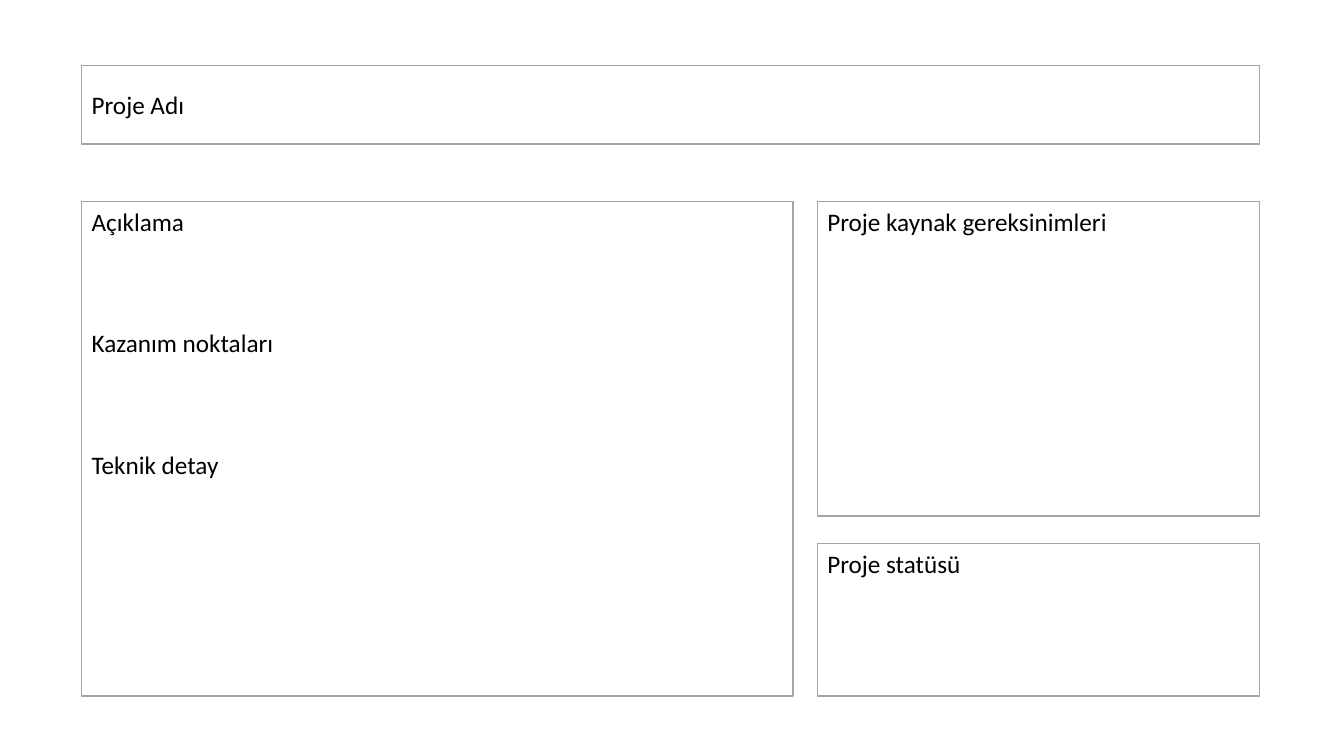
from pptx import Presentation
from pptx.dml.color import RGBColor
from pptx.enum.shapes import MSO_SHAPE
from pptx.enum.text import MSO_ANCHOR, PP_ALIGN
from pptx.util import Cm, Pt

LEFT, RIGHT = 2.06, 31.74
TOP, BOTTOM = 5.08, 17.54
DETAILS_RIGHT, SIDE_LEFT = 19.99, 20.6

PANELS = [
    (["Açıklama", "Kazanım noktaları", "Teknik detay"],
     (LEFT, TOP, DETAILS_RIGHT, BOTTOM), MSO_ANCHOR.TOP),
    (["Proje Adı"], (LEFT, 1.65, RIGHT, 3.63), MSO_ANCHOR.MIDDLE),
    (["Proje kaynak gereksinimleri"], (SIDE_LEFT, TOP, RIGHT, 13), MSO_ANCHOR.TOP),
    (["Proje statüsü"], (SIDE_LEFT, 13.69, RIGHT, BOTTOM), MSO_ANCHOR.TOP),
]
HEADING_GAP = Pt(65)


def color(value):
    return RGBColor.from_string(value)


def add_panel(slide, headings, edges, anchor):
    left, top, right, bottom = edges
    panel = slide.shapes.add_shape(
        MSO_SHAPE.RECTANGLE, Cm(left), Cm(top), Cm(right - left), Cm(bottom - top))
    panel.shadow.inherit = False
    panel.fill.solid()
    panel.fill.fore_color.rgb = color("FFFFFF")
    panel.line.color.rgb = color("A5A5A5")
    panel.line.width = Pt(1)
    content = panel.text_frame
    content.word_wrap = True
    content.vertical_anchor = anchor
    for index, heading in enumerate(headings):
        paragraph = content.add_paragraph() if index else content.paragraphs[0]
        paragraph.text = heading
        paragraph.alignment = PP_ALIGN.LEFT
        paragraph.space_before = HEADING_GAP if index else Pt(0)
        paragraph.font.name = "Calibri"
        paragraph.font.size = Pt(18)
        paragraph.font.color.rgb = color("000000")


presentation = Presentation()
presentation.slide_width = Cm(33.87)
presentation.slide_height = Cm(19.05)
project_slide = presentation.slides.add_slide(presentation.slide_layouts[6])
for headings, edges, anchor in PANELS:
    add_panel(project_slide, headings, edges, anchor)
presentation.save("out.pptx")
